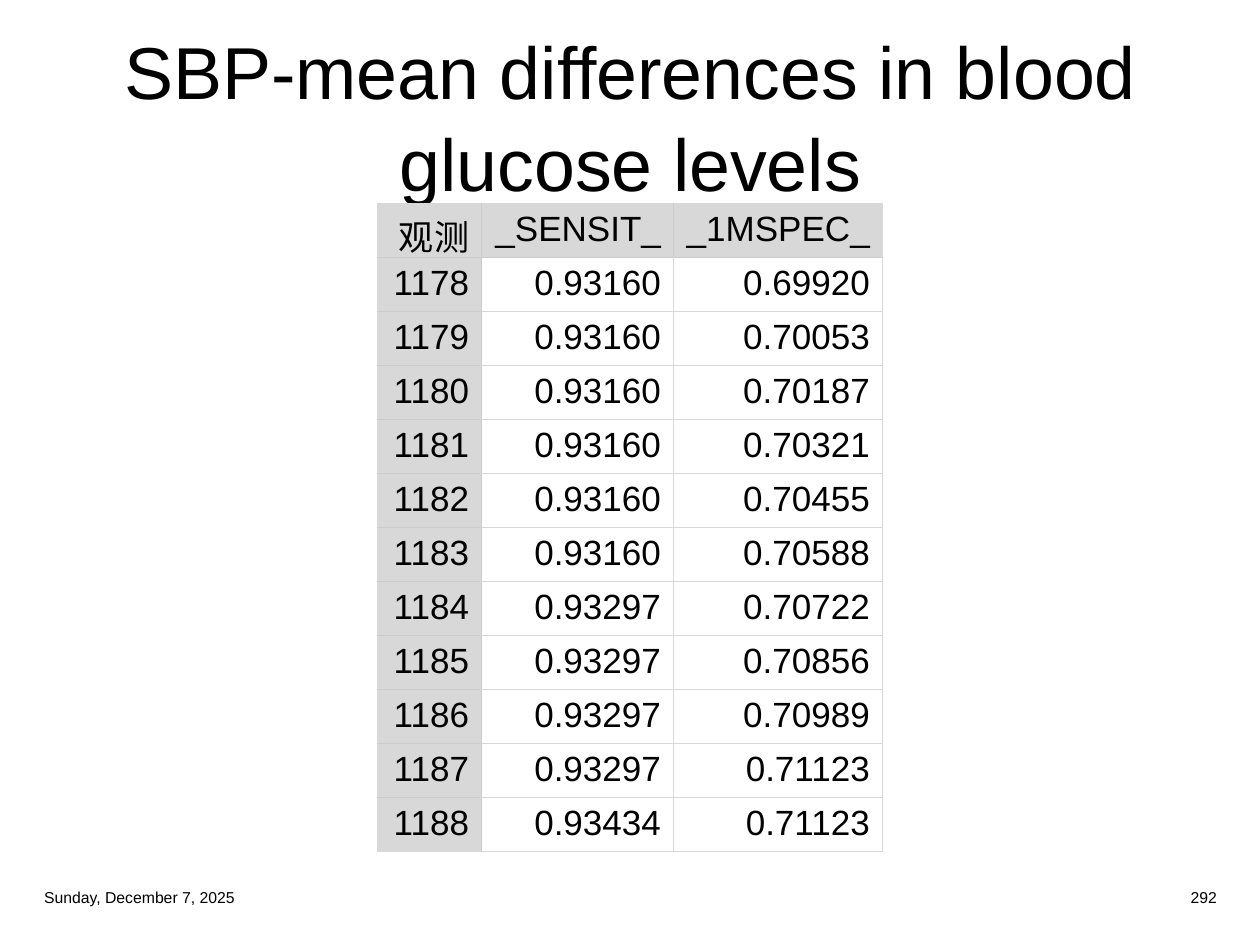
from dataclasses import dataclass

from lxml.etree import SubElement
from pptx import Presentation
from pptx.dml.color import RGBColor
from pptx.enum.text import MSO_ANCHOR, PP_ALIGN
from pptx.oxml.ns import qn
from pptx.util import Cm, Pt


@dataclass(frozen=True)
class Theme:
    font: str = "Arial"
    text: str = "000000"
    shade: str = "D8D8D8"
    rule: str = "D8D8D8"
    shaded_rule: str = "CCCCCC"
    rule_width: float = 0.5
    title_size: int = 42
    table_size: int = 20
    footer_size: int = 9


theme = Theme()


def write(frame, text, size, align=PP_ALIGN.LEFT, spacing=None):
    """Put text into a frame; a vertical tab in it becomes a line break."""
    frame.word_wrap = True
    para = frame.paragraphs[0]
    para.text = text
    para.alignment = align
    if spacing:
        para.line_spacing = spacing
    for span in para.runs:
        span.font.name = theme.font
        span.font.size = Pt(size)
        span.font.color.rgb = RGBColor.from_string(theme.text)


def draw_border(cell, side, color):
    """Rule one side (L, R, T or B) of a table cell."""
    properties = cell._tc.get_or_add_tcPr()
    line = SubElement(properties, qn(f"a:ln{side}"), w=str(Pt(theme.rule_width)))
    fill = SubElement(line, qn("a:solidFill"))
    SubElement(fill, qn("a:srgbClr"), val=color)


deck = Presentation()
deck.slide_width, deck.slide_height = Cm(25.4), Cm(19.05)
page = deck.slides.add_slide(deck.slide_layouts[6])

# Title, date and page number
texts = [
    ("SBP-mean differences in blood\vglucose levels", 0.64, 0.64, 24.13, 3.33,
     dict(size=theme.title_size, align=PP_ALIGN.CENTER, spacing=1.04)),
    ("Sunday, December 7, 2025", 0.64, 17.75, 6.05, 0.66,
     dict(size=theme.footer_size)),
    ("292", 18.73, 17.75, 6.05, 0.66,
     dict(size=theme.footer_size, align=PP_ALIGN.RIGHT)),
]
for text, left, top, width, height, style in texts:
    box = page.shapes.add_textbox(Cm(left), Cm(top), Cm(width), Cm(height))
    box.text_frame.vertical_anchor = MSO_ANCHOR.MIDDLE
    write(box.text_frame, text, **style)

# Table data: observations are numbered in sequence
first_observation = 1178
sensitivity = ["0.93160"] * 6 + ["0.93297"] * 4 + ["0.93434"]
one_minus_specificity = [
    "0.69920", "0.70053", "0.70187", "0.70321", "0.70455", "0.70588",
    "0.70722", "0.70856", "0.70989", "0.71123", "0.71123",
]
rows = [("观测", "_SENSIT_", "_1MSPEC_")]
for offset, values in enumerate(zip(sensitivity, one_minus_specificity)):
    rows.append((str(first_observation + offset), *values))

# Table grid
column_widths = [2.11, 3.87, 4.21]
row_height = 1.06
table = page.shapes.add_table(
    len(rows), len(column_widths), Cm(7.6), Cm(4.11),
    Cm(sum(column_widths)), Cm(row_height * len(rows)),
).table
table.first_row = table.horz_banding = False
for column, width in zip(table.columns, column_widths):
    column.width = Cm(width)
for row in table.rows:
    row.height = Cm(row_height)

# Table cells: the header row and first column are shaded
last_row, last_column = len(rows) - 1, len(column_widths) - 1
for r, values in enumerate(rows):
    for c, value in enumerate(values):
        cell = table.cell(r, c)
        cell.margin_top = cell.margin_bottom = Cm(0.12)
        write(cell.text_frame, value, theme.table_size, PP_ALIGN.RIGHT)

        # Inner edges that touch a shaded cell are darker
        shaded = r == 0 or c == 0
        darker = {
            "L": c > 0 and (r == 0 or c == 1),
            "R": c < last_column and shaded,
            "T": r > 0 and (c == 0 or r == 1),
            "B": r < last_row and shaded,
        }
        for side, is_darker in darker.items():
            draw_border(cell, side, theme.shaded_rule if is_darker else theme.rule)
        if shaded:
            cell.fill.solid()
            cell.fill.fore_color.rgb = RGBColor.from_string(theme.shade)
        else:
            cell.fill.background()

deck.save("out.pptx")
